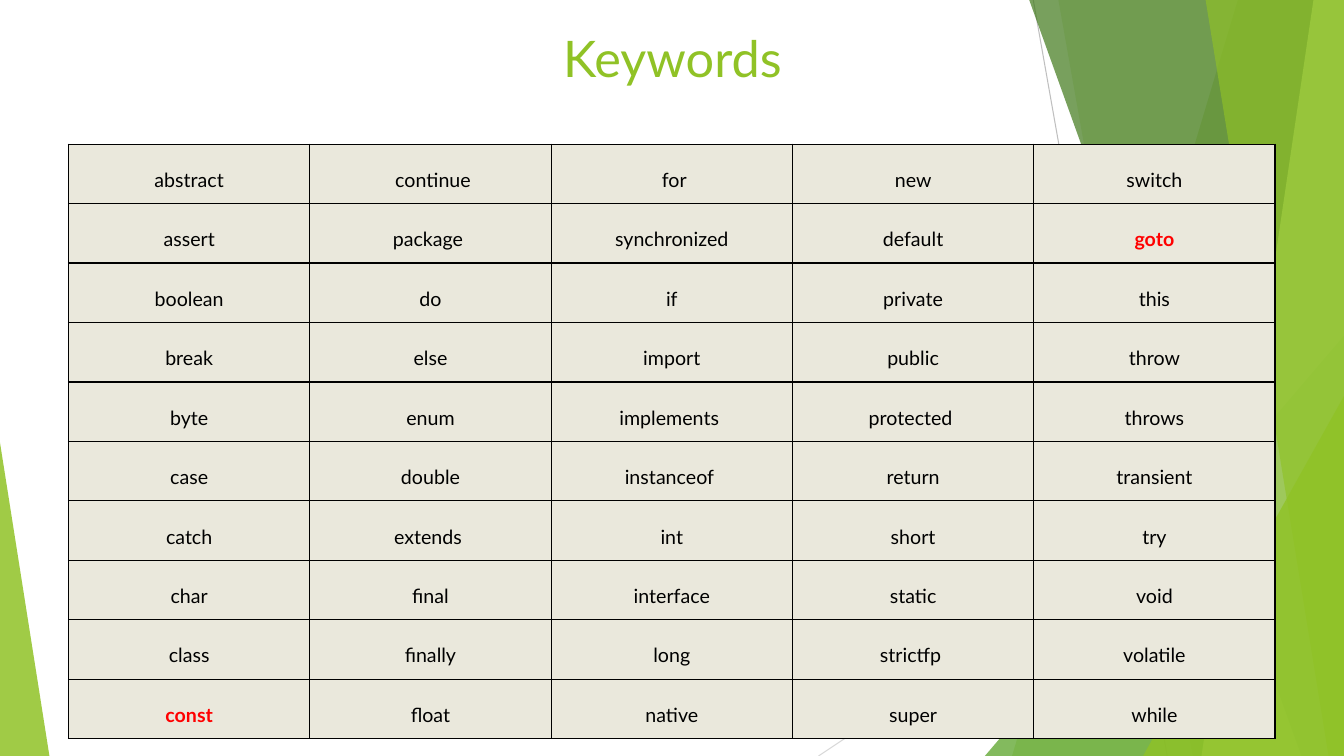
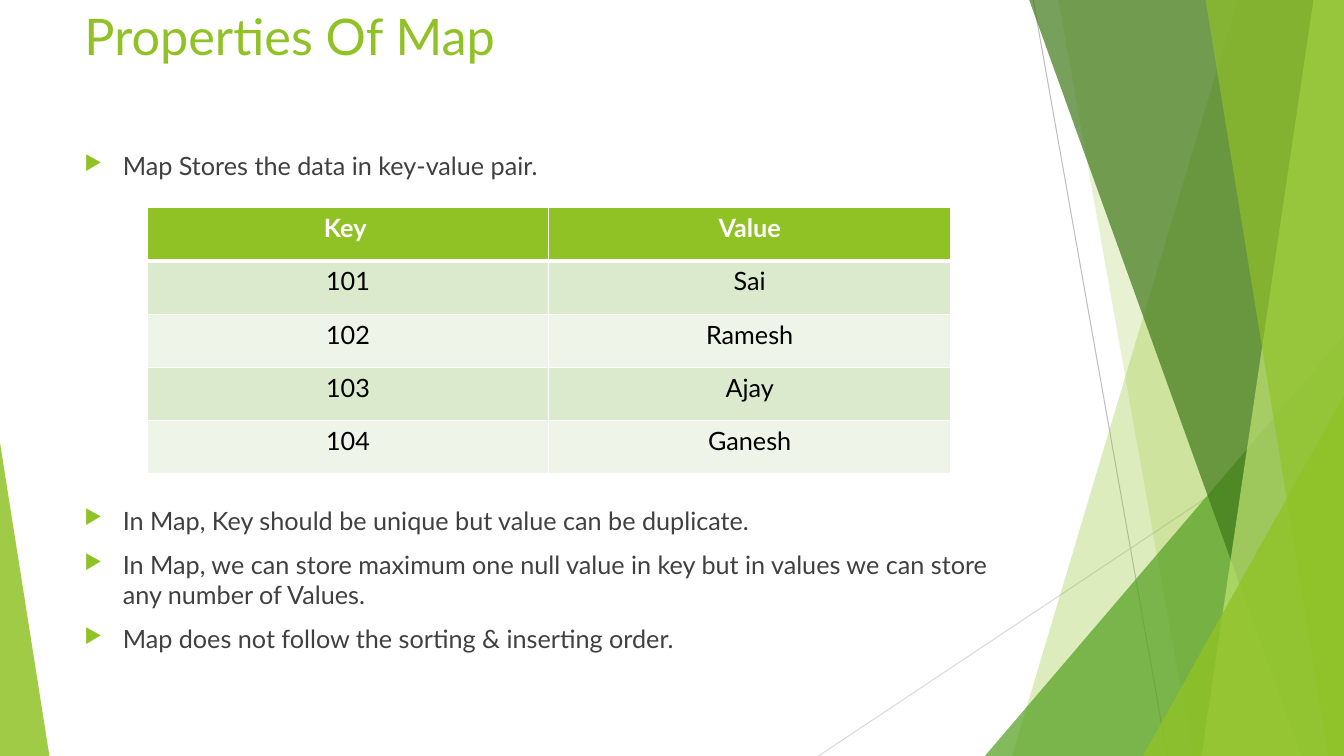
from lxml.etree import SubElement
from pptx import Presentation
from pptx.dml.color import RGBColor
from pptx.enum.shapes import MSO_CONNECTOR, MSO_SHAPE
from pptx.enum.text import MSO_ANCHOR, PP_ALIGN
from pptx.oxml import parse_xml
from pptx.oxml.ns import nsdecls, qn
from pptx.util import Inches, Pt

WIDTH, HEIGHT = Inches(13.33), Inches(7.5)
FONT = "Lato"
COLORS = {
    "accent": "90C226", "green": "54A021", "forest": "3F7819", "lime": "C0E474",
    "line": "BFBFBF", "pale_line": "D9D9D9", "text": "404040", "black": "000000",
    "white": "FFFFFF", "red": "FF0000", "sand": "EAE8DC",
    "dark_band": "DBE9CD", "light_band": "EEF4E8",
}
RAYS = [("line", 76.88, 0, 86.85, 100), ("pale_line", 100, 53.73, 60.9, 100)]
FACETS = [
    ("band", 92.1, 75.3, "accent", 30),
    ("band", 78.75, 88.73, "accent", 20),
    ("corner", 73.28, 44.4, "green", 72),
    ("band", 76.58, 96.83, "forest", 70),
    ("band", 97.73, 89.4, "lime", 70),
    ("band", 89.7, 98.85, "accent", 65),
    ("corner", 85.05, 52.4, "accent", 80),
]
KEYWORDS = [
    ("abstract", " continue", " for", "new", "switch"),
    ("assert", "package ", "synchronized", "default", "goto"),
    ("boolean", "do", "if", "private", "this"),
    ("break", "else", "import", "public", "throw"),
    ("byte", "enum", "implements ", "protected ", "throws"),
    ("case", "double", "instanceof ", "return", "transient"),
    ("catch", "extends ", "int", "short", "try"),
    ("char", "final", "interface", "static", "void"),
    ("class", "finally", "long", "strictfp ", "volatile"),
    ("const", "float", "native", "super", "while"),
]
UNUSED_KEYWORDS = {"goto", "const"}
PAIRS = [("Key ", "Value"), ("101", "Sai"), ("102", "Ramesh"),
         ("103", "Ajay"), ("104", "Ganesh")]
INTRO = ["Map Stores the data in key-value pair."]
RULES = [
    "In Map, Key should be unique but value can be duplicate.",
    "In Map, we can store maximum one null value in key but in values we can store "
    "any number of Values.",
    "Map does not follow the sorting & inserting order.",
]


def color(name):
    """Return the named palette colour."""
    return RGBColor.from_string(COLORS[name])


def across(columns):
    """Turn hundredths of the slide width into a length."""
    return round(WIDTH * columns / 100)


def down(rows):
    """Turn hundredths of the slide height into a length."""
    return round(HEIGHT * rows / 100)


def place(left, top, width, height):
    """Turn a grid area into left, top, width and height."""
    return across(left), down(top), across(width), down(height)


def style_font(para, size, name, bold=False):
    """Set the font of a whole paragraph."""
    font = para.font
    font.name, font.size, font.bold = FONT, Pt(size), bold
    font.color.rgb = color(name)


def paint(shape, name, opacity):
    """Give a shape a translucent fill without outline or shadow."""
    shape.shadow.inherit = False
    shape.line.fill.background()
    shape.fill.solid()
    shape.fill.fore_color.rgb = color(name)
    fill = shape._element.spPr.find(qn("a:solidFill"))
    SubElement(fill[0], qn("a:alpha"), val=str(opacity * 1000))


def add_ray(page, name, left, top, right, bottom):
    """Draw a thin background line."""
    ray = page.shapes.add_connector(MSO_CONNECTOR.STRAIGHT, across(left), down(top),
                                    across(right), down(bottom))
    ray.line.color.rgb = color(name)
    ray.line.width = Pt(0.75)
    SubElement(ray._element.spPr, qn("a:effectLst"))


def add_band(page, top_left, bottom_left, name, opacity):
    """Draw a slanted band that reaches the right edge."""
    outline = page.shapes.build_freeform(across(top_left), 0)
    outline.add_line_segments([(WIDTH, 0), (WIDTH, HEIGHT), (across(bottom_left), HEIGHT)])
    paint(outline.convert_to_shape(), name, opacity)


def add_triangle(page, area, apex, name, opacity):
    """Draw a triangle with its apex at a share of its width."""
    triangle = page.shapes.add_shape(MSO_SHAPE.ISOSCELES_TRIANGLE, *place(*area))
    triangle.adjustments[0] = apex
    paint(triangle, name, opacity)


def add_backdrop(page):
    """Draw the lines and facets that all slides share."""
    for ray in RAYS:
        add_ray(page, *ray)
    for kind, first, second, name, opacity in FACETS:
        if kind == "band":
            add_band(page, first, second, name, opacity)
        else:
            area = (first, second, 100 - first, 100 - second)
            add_triangle(page, area, 1, name, opacity)
    add_triangle(page, (0, 58.53, 3.68, 41.47), 0, "accent", 85)


def add_text_frame(page, area):
    """Add a wrapping text box and return its frame."""
    frame = page.shapes.add_textbox(*place(*area)).text_frame
    frame.word_wrap = True
    return frame


def add_title(page, text, left, top, align):
    """Add the slide title."""
    para = add_text_frame(page, (left, top, 70.5, 19.2)).paragraphs[0]
    para.text, para.alignment = text, align
    style_font(para, 36, "accent")


def add_bullets(page, lines, top, height):
    """Add a list with triangular bullets."""
    frame = add_text_frame(page, (5.55, top, 70.5, height))
    for index, line in enumerate(lines):
        para = frame.add_paragraph() if index else frame.paragraphs[0]
        para.text = line
        if index:
            para.space_before = Pt(10)
        properties = para._p.get_or_add_pPr()
        properties.set("marL", str(Inches(0.38)))
        properties.set("indent", str(-Inches(0.38)))
        bullet_color = SubElement(properties, qn("a:buClr"))
        SubElement(bullet_color, qn("a:srgbClr"), val=COLORS["accent"])
        SubElement(properties, qn("a:buSzPct"), val="80000")
        SubElement(properties, qn("a:buChar"), char="▶")
        style_font(para, 18, "text")


def set_borders(cell, name, top=1, bottom=1):
    """Draw the four borders of a cell, with widths in points."""
    properties = cell._tc.get_or_add_tcPr()
    widths = {"L": 1, "R": 1, "T": top, "B": bottom}
    for index, (side, width) in enumerate(widths.items()):
        properties.insert(index, parse_xml(
            f'<a:ln{side} {nsdecls("a")} w="{Pt(width)}"><a:solidFill>'
            f'<a:srgbClr val="{COLORS[name]}"/></a:solidFill></a:ln{side}>'))


def add_grid(page, rows, area, has_header, style_cell):
    """Add a table of centred text and style each cell by its row."""
    table = page.shapes.add_table(len(rows), len(rows[0]), *place(*area)).table
    table.first_row, table.horz_banding = has_header, False
    for row, words in enumerate(rows):
        for column, word in enumerate(words):
            cell = table.cell(row, column)
            para = cell.text_frame.paragraphs[0]
            para.text, para.alignment = word, PP_ALIGN.CENTER
            cell.fill.solid()
            style_cell(cell, para, row)


def style_keyword(cell, para, row):
    """Style a keyword cell and mark the unused keywords."""
    unused = para.text in UNUSED_KEYWORDS
    cell.fill.fore_color.rgb = color("sand")
    cell.vertical_anchor = MSO_ANCHOR.MIDDLE
    cell.margin_left = cell.margin_right = Inches(0.09)
    cell.margin_top = cell.margin_bottom = Inches(0.12)
    para.line_spacing = 1.5
    style_font(para, 14, "red" if unused else "black", unused)
    set_borders(cell, "black")


def style_pair(cell, para, row):
    """Style a header or banded cell of the map."""
    header = row == 0
    band = "dark_band" if row % 2 else "light_band"
    cell.fill.fore_color.rgb = color("accent" if header else band)
    style_font(para, 18, "white" if header else "black", header)
    set_borders(cell, "white", top=3 if row == 1 else 1, bottom=3 if header else 1)


def add_page(deck):
    """Add a blank slide with the shared backdrop."""
    page = deck.slides.add_slide(deck.slide_layouts[6])
    add_backdrop(page)
    return page


def add_keywords_page(deck):
    """Build the slide with the table of keywords."""
    page = add_page(deck)
    add_title(page, "Keywords", 14.78, 2.93, PP_ALIGN.CENTER)
    add_grid(page, KEYWORDS, (5.1, 19.07, 89.78, 78), False, style_keyword)


def add_map_page(deck):
    """Build the slide about the properties of a map."""
    page = add_page(deck)
    add_title(page, "Properties Of Map", 5.55, 0, PP_ALIGN.LEFT)
    add_bullets(page, INTRO, 19.2, 6)
    add_grid(page, PAIRS, (10.95, 27.47, 59.78, 35.2), True, style_pair)
    add_bullets(page, RULES, 66.13, 30)


def main():
    """Build and save the deck."""
    deck = Presentation()
    deck.slide_width, deck.slide_height = WIDTH, HEIGHT
    add_keywords_page(deck)
    add_map_page(deck)
    deck.save("out.pptx")


if __name__ == "__main__":
    main()
